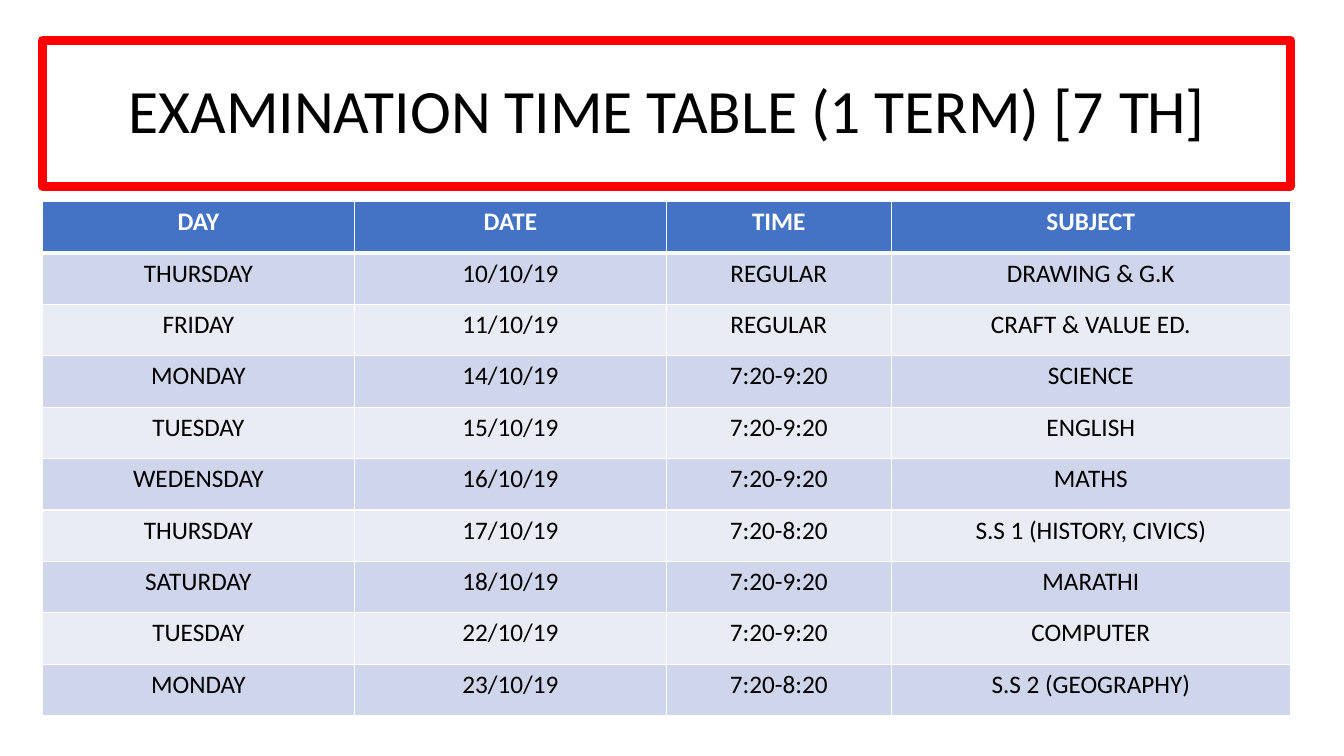
from dataclasses import dataclass

from lxml import etree
from pptx import Presentation
from pptx.dml.color import RGBColor
from pptx.enum.text import MSO_ANCHOR, MSO_AUTO_SIZE, PP_ALIGN
from pptx.oxml.ns import qn
from pptx.util import Inches, Pt

CENTER = PP_ALIGN.CENTER
MIDDLE = MSO_ANCHOR.MIDDLE
NO_AUTOFIT = MSO_AUTO_SIZE.NONE
TITLE_ONLY = 5


@dataclass(frozen=True)
class Theme:
    font: str = "Calibri"
    title_size: float = 44
    cell_size: float = 18
    text: str = "000000"
    white: str = "FFFFFF"
    frame: str = "FF0000"
    header: str = "4472C4"
    bands: tuple = ("CFD5EA", "E9EBF5")


THEME = Theme()
HEADINGS = ("DAY", "DATE", "TIME", "SUBJECT")
EXAMS = (
    ("THURSDAY", "10/10/19", "REGULAR", "DRAWING & G.K"),
    ("FRIDAY", "11/10/19", "REGULAR", "CRAFT & VALUE ED."),
    ("MONDAY", "14/10/19", "7:20-9:20", "SCIENCE"),
    ("TUESDAY", "15/10/19", "7:20-9:20", "ENGLISH"),
    ("WEDENSDAY", "16/10/19", "7:20-9:20", "MATHS"),
    ("THURSDAY", "17/10/19", "7:20-8:20", "S.S 1 (HISTORY, CIVICS)"),
    ("SATURDAY", "18/10/19", "7:20-9:20", "MARATHI"),
    ("TUESDAY", "22/10/19", "7:20-9:20", "COMPUTER"),
    ("MONDAY", "23/10/19", "7:20-8:20", "S.S 2 (GEOGRAPHY)"),
)


def rgb(color):
    return RGBColor.from_string(color)


def add_text(p, text, size=THEME.cell_size, color=THEME.text, bold=False, spacing=0):
    p.alignment = CENTER
    r = p.add_run()
    r.text = text
    r.font.name = THEME.font
    r.font.size = Pt(size)
    r.font.bold = bold
    r.font.color.rgb = rgb(color)
    if spacing:
        r.font._element.set("spc", str(int(spacing * 100)))


def set_borders(cell, color, **widths):
    tcPr = cell._tc.get_or_add_tcPr()
    for i, side in enumerate("LRTB"):
        ln = etree.Element(qn(f"a:ln{side}"), w=str(Pt(widths.get(side, 1))))
        fill = etree.SubElement(ln, qn("a:solidFill"))
        etree.SubElement(fill, qn("a:srgbClr"), val=color)
        tcPr.insert(i, ln)


def add_title(s, left, top, width, height):
    sp = s.shapes.title
    sp.left, sp.top, sp.width, sp.height = map(Inches, (left, top, width, height))
    sp.line.color.rgb = rgb(THEME.frame)
    sp.line.width = Pt(6)
    etree.SubElement(sp.line._ln, qn("a:round"))
    tf = sp.text_frame
    tf.word_wrap = True
    tf.auto_size = NO_AUTOFIT
    tf.vertical_anchor = MIDDLE
    p = tf.paragraphs[0]
    p.line_spacing = 0.9
    for text, spacing in (("EXAMINATION TIME TABLE (1 TERM) [7 ", 0), ("TH", -1.5), ("]", 0)):
        add_text(p, text, size=THEME.title_size, spacing=spacing)


def add_timetable(s, left, top, width, height):
    rows = (HEADINGS, *EXAMS)
    box = map(Inches, (left, top, width, height))
    table = s.shapes.add_table(len(rows), len(HEADINGS), *box).table
    for column, share in zip(table.columns, (0.25, 0.25, 0.18, 0.32)):
        column.width = Inches(width * share)
    for i, values in enumerate(rows):
        table.rows[i].height = Inches(height / len(rows))
        header = i == 0
        fill = THEME.header if header else THEME.bands[(i - 1) % 2]
        for j, value in enumerate(values):
            cell = table.cell(i, j)
            cell.fill.solid()
            cell.fill.fore_color.rgb = rgb(fill)
            set_borders(cell, THEME.white, T=3 if i == 1 else 1, B=3 if header else 1)
            add_text(cell.text_frame.paragraphs[0], value, bold=header,
                     color=THEME.white if header else THEME.text)


def main():
    prs = Presentation()
    prs.slide_width, prs.slide_height = Inches(13.33), Inches(7.5)
    s = prs.slides.add_slide(prs.slide_layouts[TITLE_ONLY])
    s.background.fill.solid()
    s.background.fill.fore_color.rgb = rgb(THEME.white)
    add_title(s, 0.42, 0.4, 12.38, 1.45)
    add_timetable(s, 0.42, 2, 12.38, 5.1)
    prs.save("out.pptx")


main()
